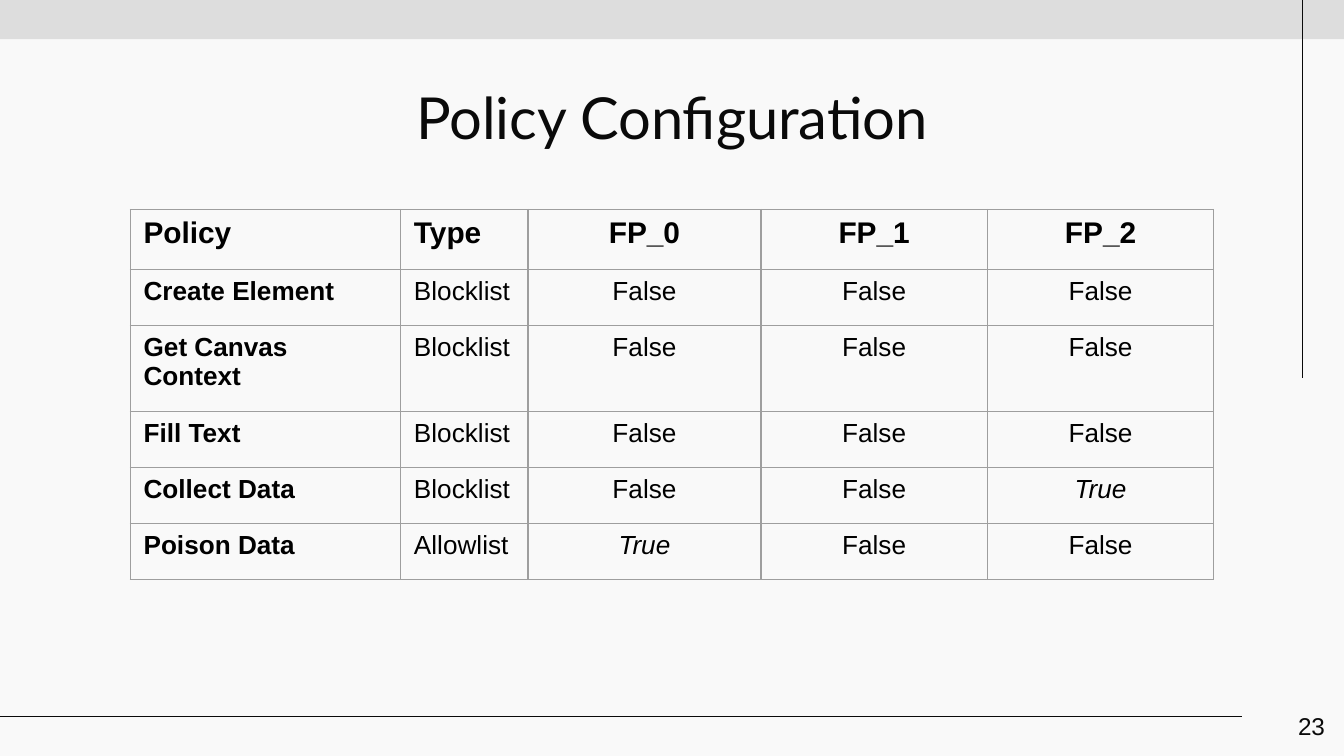
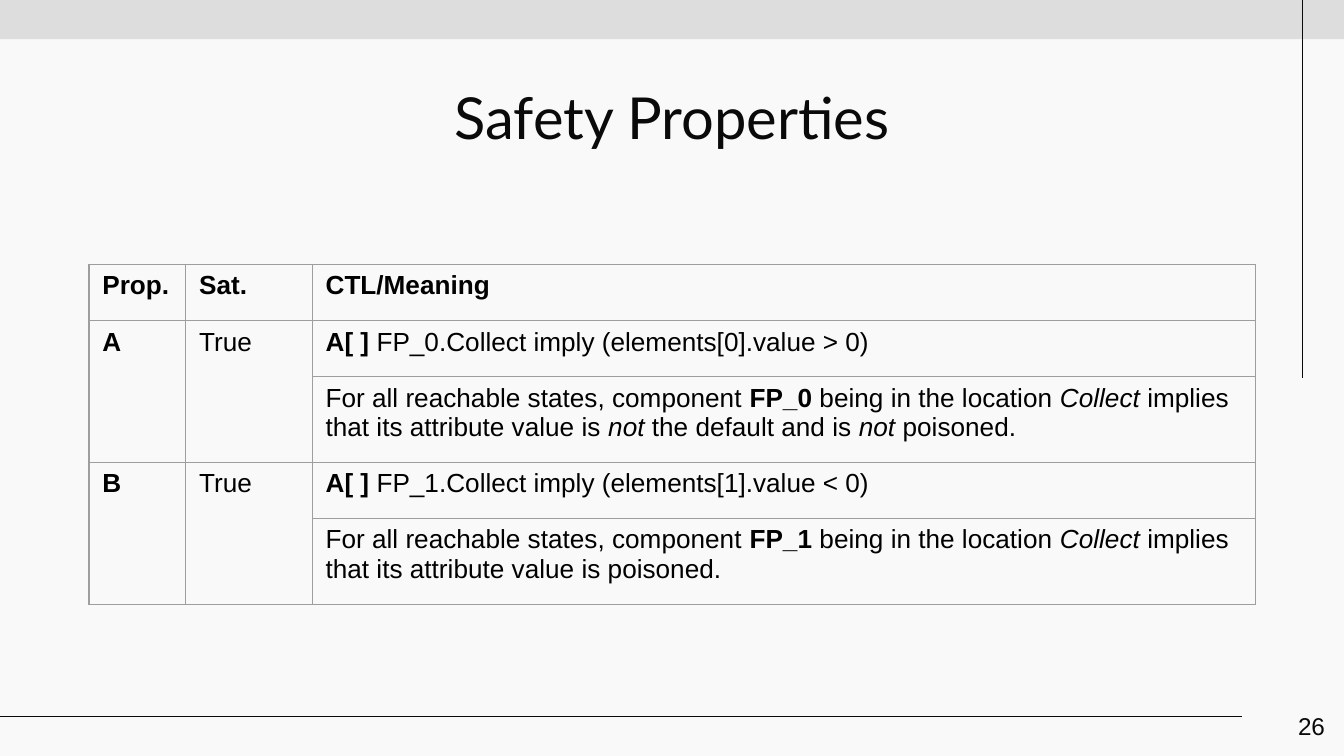
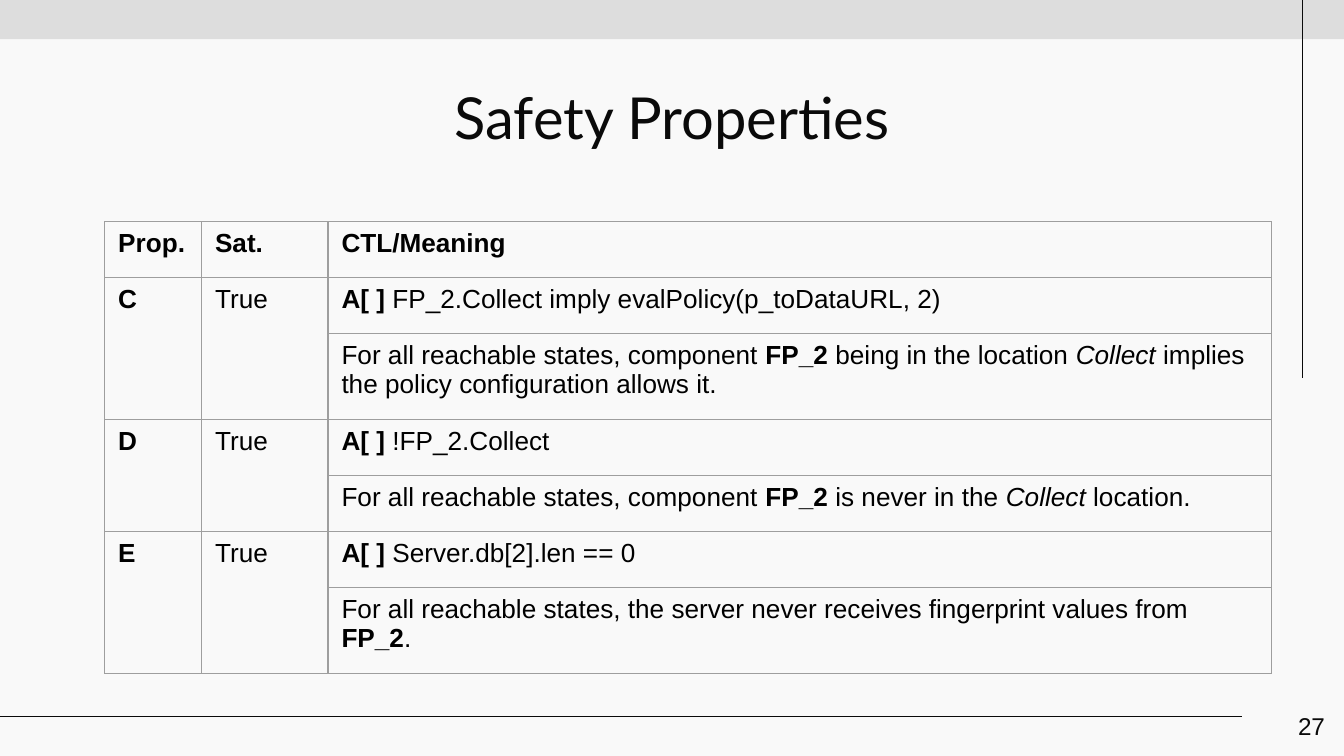
"""Build three slides on policy configuration and safety properties."""
from lxml import etree
from pptx import Presentation
from pptx import util as u
from pptx.dml import color
from pptx.enum import shapes, text
from pptx.oxml import ns

INK, BAND, PAPER, RULE, BLACK = "0A0A0A", "DDDDDD", "F9F9F9", "9E9E9E", "000000"
LEFT, CENTER, RIGHT = text.PP_ALIGN.LEFT, text.PP_ALIGN.CENTER, text.PP_ALIGN.RIGHT
TOP, MIDDLE = text.MSO_ANCHOR.TOP, text.MSO_ANCHOR.MIDDLE
SINGLE, DOUBLE = 1.06, 1.62
POLICY_COLUMNS = [5.11, 2.41, 4.4, 4.28, 4.28]
PROPERTY_COLUMNS = [1.83, 2.39, 17.83]
PROPERTY_HEADER = ["*Prop.*", "*Sat.*", "*CTL/Meaning*"]


def rgb(value):
    """Turn a hex string into a colour."""
    return color.RGBColor.from_string(value)


def write(para, marked, size, font, ink, align):
    """Fill a paragraph run by run; *bold* and ~italic~ mark the styles."""
    para.alignment = align
    for b, chunk in enumerate(marked.split("*")):
        for i, piece in enumerate(chunk.split("~")):
            if piece:
                span = para.add_run()
                span.text = piece
                span.font.size = u.Pt(size)
                span.font.name = font
                span.font.color.rgb = rgb(ink)
                span.font.bold = b % 2 == 1
                span.font.italic = i % 2 == 1


pages = [
    {
        "title": "Policy Configuration", "number": "23", "at": (2.46, 3.96),
        "columns": POLICY_COLUMNS, "header_size": 16,
        "heights": [1.14, SINGLE, DOUBLE, SINGLE, SINGLE, SINGLE],
        "rows": [
            ["*Policy*", "*Type*", "*FP_0*", "*FP_1*", "*FP_2*"],
            ["*Create Element*", "Blocklist", "False", "False", "False"],
            ["*Get Canvas Context*", "Blocklist", "False", "False", "False"],
            ["*Fill Text*", "Blocklist", "False", "False", "False"],
            ["*Collect Data*", "Blocklist", "False", "False", "~True~"],
            ["*Poison Data*", "Allowlist", "~True~", "False", "False"],
        ],
    },
    {
        "title": "Safety Properties", "number": "26", "at": (1.68, 5),
        "columns": PROPERTY_COLUMNS, "header_size": 14,
        "heights": [SINGLE, SINGLE, DOUBLE, SINGLE, DOUBLE],
        "rows": [
            PROPERTY_HEADER,
            ["*A*", "True", "*A[ ]* FP_0.Collect imply (elements[0].value > 0)"],
            [None, None, "For all reachable states, component *FP_0* being in the location "
             "~Collect~ implies that its attribute value is ~not~ the default and is "
             "~not~ poisoned."],
            ["*B*", "True", "*A[ ]* FP_1.Collect imply (elements[1].value < 0)"],
            [None, None, "For all reachable states, component *FP_1* being in the location "
             "~Collect~ implies that its attribute value is poisoned."],
        ],
    },
    {
        "title": "Safety Properties", "number": "27", "at": (1.98, 4.19),
        "columns": PROPERTY_COLUMNS, "header_size": 14,
        "heights": [SINGLE, SINGLE, DOUBLE, SINGLE, SINGLE, SINGLE, DOUBLE],
        "rows": [
            PROPERTY_HEADER,
            ["*C*", "True", "*A[ ]* FP_2.Collect imply evalPolicy(p_toDataURL, 2)"],
            [None, None, "For all reachable states, component *FP_2* being in the location "
             "~Collect~ implies the policy configuration allows it."],
            ["*D*", "True", "*A[ ]* !FP_2.Collect"],
            [None, None, "For all reachable states, component *FP_2* is never in the "
             "~Collect~ location."],
            ["*E*", "True", "*A[ ] *Server.db[2].len == 0"],
            [None, None, "For all reachable states, the server never receives fingerprint "
             "values from *FP_2*."],
        ],
    },
]

deck = Presentation()
deck.slide_width, deck.slide_height = u.Cm(25.4), u.Cm(14.29)

for content in pages:
    page = deck.slides.add_slide(deck.slide_layouts[6])
    page.background.fill.solid()
    page.background.fill.fore_color.rgb = rgb(PAPER)

    band = page.shapes.add_shape(shapes.MSO_SHAPE.RECTANGLE, 0, 0, deck.slide_width, u.Cm(0.74))
    band.shadow.inherit = False
    band.fill.solid()
    band.fill.fore_color.rgb = rgb(BAND)
    band.line.fill.background()

    for ends in [(24.62, 0, 24.62, 7.14), (23.47, 13.54, 0, 13.54)]:
        line = page.shapes.add_connector(shapes.MSO_CONNECTOR.STRAIGHT, *map(u.Cm, ends))
        line.line.color.rgb = rgb(INK)
        line.line.width = u.Pt(0.75)
        etree.SubElement(line._element.spPr, ns.qn("a:effectLst"))

    for place, words, size, font, align, anchor in [
        ((1.98, 1.3, 21.44, 1.52), content["title"], 31, "Lato", CENTER, TOP),
        ((23.77, 13.18, 1.52, 1.09), content["number"], 13, "Arial", RIGHT, MIDDLE),
    ]:
        box = page.shapes.add_textbox(*map(u.Cm, place))
        frame = box.text_frame
        frame.word_wrap = True
        frame.vertical_anchor = anchor
        frame.margin_left = frame.margin_right = u.Cm(0.25)
        frame.margin_top = frame.margin_bottom = u.Cm(0.25)
        write(frame.paragraphs[0], words, size, font, INK, align)

    rows, columns, heights = content["rows"], content["columns"], content["heights"]
    table = page.shapes.add_table(
        len(rows), len(columns), *map(u.Cm, content["at"]),
        u.Cm(sum(columns)), u.Cm(sum(heights))).table
    table.first_row = table.horz_banding = False
    for column, width in zip(table.columns, columns):
        column.width = u.Cm(width)
    for row, height in zip(table.rows, heights):
        row.height = u.Cm(height)

    for r, row in enumerate(rows):
        for c, words in enumerate(row):
            cell = table.cell(r, c)
            properties = cell._tc.get_or_add_tcPr()
            for side in ("lnL", "lnR", "lnT", "lnB"):
                border = etree.SubElement(properties, ns.qn(f"a:{side}"), w=str(u.Pt(0.75)))
                fill = etree.SubElement(border, ns.qn("a:solidFill"))
                etree.SubElement(fill, ns.qn("a:srgbClr"), val=RULE)
            cell.fill.background()
            if words is None:
                table.cell(r - 1, c).merge(cell)
            else:
                size = content["header_size"] if r == 0 else 14
                align = CENTER if columns is POLICY_COLUMNS and c > 1 else LEFT
                write(cell.text_frame.paragraphs[0], words, size, "Arial", BLACK, align)

deck.save("out.pptx")
